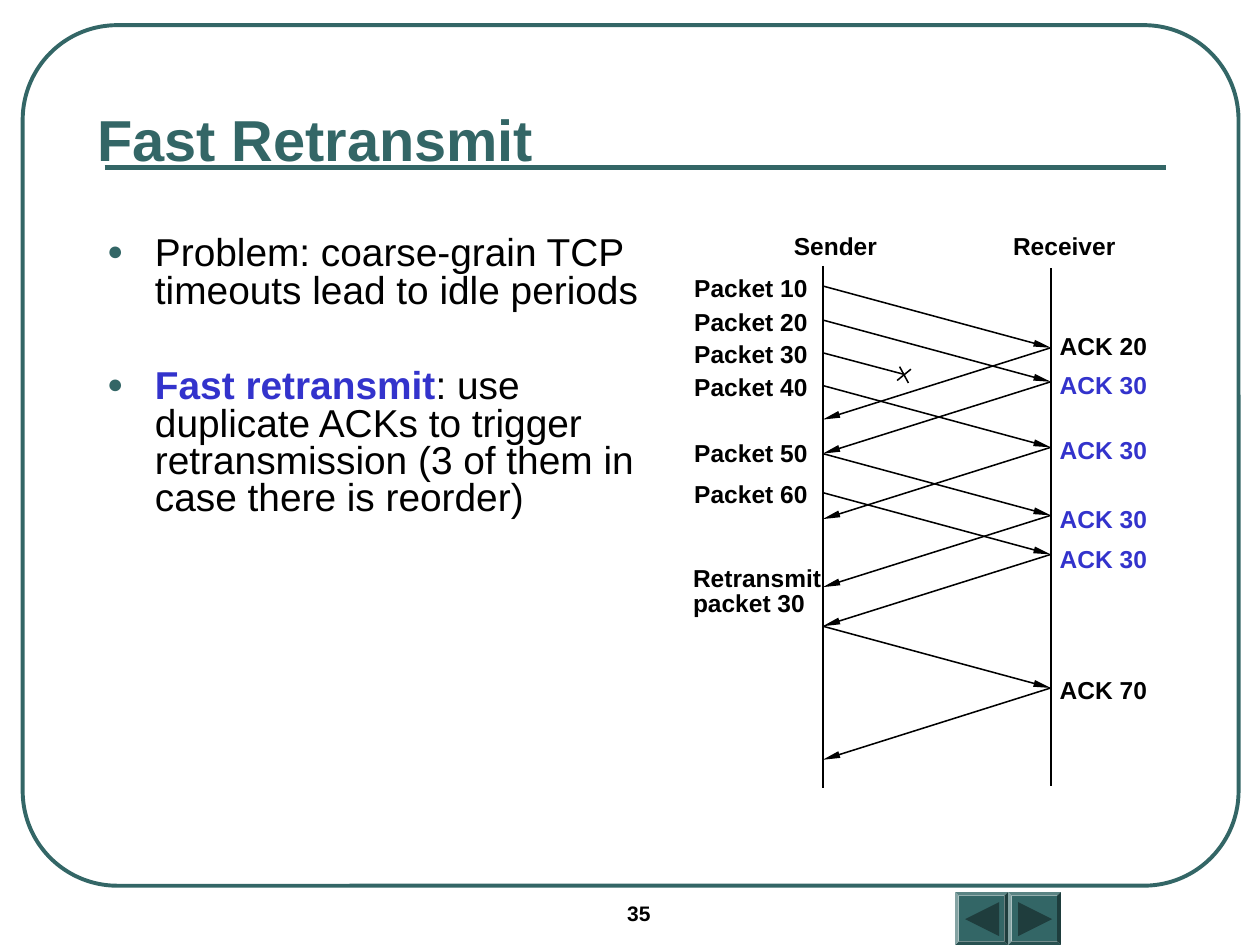
from lxml.etree import SubElement
from pptx import Presentation
from pptx.dml.color import RGBColor
from pptx.enum.shapes import MSO_CONNECTOR, MSO_SHAPE
from pptx.enum.text import MSO_ANCHOR, MSO_AUTO_SIZE, PP_ALIGN
from pptx.oxml.ns import qn
from pptx.util import Inches, Pt

TEAL = RGBColor(0x33, 0x66, 0x66)
DARK_TEAL = RGBColor(0x1F, 0x3D, 0x3D)
BLUE = RGBColor(0x33, 0x33, 0xCC)
BLACK = RGBColor(0x00, 0x00, 0x00)

presentation = Presentation()
presentation.slide_width = Inches(10)
presentation.slide_height = Inches(7.5)
slide = presentation.slides.add_slide(presentation.slide_layouts[1])
shapes = slide.shapes


def add_text(text, left=0, top=0, width=1, paragraph=None, height=0.23, size=14,
             color=BLACK, bold=True, margins=(0, 0)):
    if paragraph is None:
        frame = shapes.add_textbox(Inches(left), Inches(top), Inches(width), Inches(height)).text_frame
        frame.word_wrap = True
        frame.margin_left = frame.margin_right = Inches(margins[0])
        frame.margin_top = frame.margin_bottom = Inches(margins[1])
        paragraph = frame.paragraphs[0]
        paragraph.alignment = PP_ALIGN.LEFT
    run = paragraph.add_run()
    run.text = text
    run.font.name = "Arial"
    run.font.size = Pt(size)
    run.font.bold = bold
    run.font.color.rgb = color


def add_line(start, end, width=0.88, color=BLACK, arrow=False):
    points = [Inches(value) for value in (*start, *end)]
    connector = shapes.add_connector(MSO_CONNECTOR.STRAIGHT, *points)
    connector.line.width = Pt(width)
    connector.line.color.rgb = color
    if arrow:
        SubElement(connector.line._get_or_add_ln(), qn("a:tailEnd"), type="triangle", w="sm", len="lg")
    SubElement(connector._element.spPr, qn("a:effectLst"))


frame_shape = shapes.add_shape(
    MSO_SHAPE.ROUNDED_RECTANGLE, Inches(0.18), Inches(0.2), Inches(9.65), Inches(6.83))
frame_shape.adjustments[0] = 0.11
frame_shape.shadow.inherit = False
frame_shape.fill.background()
frame_shape.line.color.rgb = TEAL
frame_shape.line.width = Pt(2.25)
add_line((0.83, 1.33), (9.25, 1.33), width=3, color=TEAL)

for button_left, rotation in ((7.58, -90), (8, 90)):
    button = shapes.add_shape(
        MSO_SHAPE.BEVEL, Inches(button_left), Inches(7.08), Inches(0.42), Inches(0.42))
    button.adjustments[0] = 0.07
    triangle = shapes.add_shape(
        MSO_SHAPE.ISOSCELES_TRIANGLE, Inches(button_left + 0.08), Inches(7.16), Inches(0.27), Inches(0.27))
    triangle.rotation = rotation
    for shape, color in ((button, TEAL), (triangle, DARK_TEAL)):
        shape.shadow.inherit = False
        shape.fill.solid()
        shape.fill.fore_color.rgb = color
        shape.line.fill.background()

add_text("35", 4.88, 7.1, 1.17, height=0.33, size=12, margins=(0.1, 0.05))

title = shapes.title
title.left, title.top, title.width, title.height = map(Inches, (0.67, 0.17, 8.5, 1.25))
title.text_frame.vertical_anchor = MSO_ANCHOR.BOTTOM
title.text_frame.auto_size = MSO_AUTO_SIZE.NONE
title_paragraph = title.text_frame.paragraphs[0]
title_paragraph.alignment = PP_ALIGN.LEFT
add_text("Fast Retransmit", paragraph=title_paragraph, size=33, color=TEAL)

body = slide.placeholders[1]
body.left, body.top, body.width, body.height = map(Inches, (0.75, 1.83, 4.67, 2.42))
body.text_frame.auto_size = MSO_AUTO_SIZE.NONE
bullets = [
    (6, [("Problem: coarse-grain TCP timeouts lead to idle periods", BLACK, False)]),
    (33.5, [
        ("Fast retransmit", BLUE, True),
        (": use duplicate ACKs to trigger retransmission (3 of them in case there is reorder)", BLACK, False),
    ]),
]
for index, (space_before, runs) in enumerate(bullets):
    paragraph = body.text_frame.add_paragraph() if index else body.text_frame.paragraphs[0]
    paragraph.line_spacing = 0.8
    paragraph.space_before = Pt(space_before)
    properties = paragraph._p.get_or_add_pPr()
    properties.set("marL", str(Inches(0.38)))
    properties.set("indent", str(-Inches(0.38)))
    SubElement(SubElement(properties, qn("a:buClr")), qn("a:srgbClr"), val=str(TEAL))
    SubElement(properties, qn("a:buSzPct"), val="70000")
    SubElement(properties, qn("a:buFont"), typeface="Arial")
    SubElement(properties, qn("a:buChar"), char="●")
    for text, color, bold in runs:
        add_text(text, paragraph=paragraph, size=22.2, color=color, bold=bold)

SENDER_X, RECEIVER_X = 6.53, 8.34
add_text("Sender", 6.3, 1.83, 0.72)
add_text("Receiver", 8.04, 1.83, 0.87)
add_line((SENDER_X, 2.11), (SENDER_X, 6.25))
add_line((RECEIVER_X, 2.13), (RECEIVER_X, 6.24))

for number, top in zip(range(10, 70, 10), (2.17, 2.44, 2.69, 2.95, 3.48, 3.8)):
    add_text(f"Packet {number}", 5.51, top, 0.95)
add_text("Retransmit", 5.5, 4.47, 1.08)
add_text("packet 30", 5.5, 4.67, 0.95)

for number, top in ((20, 2.63), (30, 2.94), (30, 3.45), (30, 4), (30, 4.32), (70, 5.36)):
    add_text(f"ACK {number}", 8.41, top, 0.75, color=BLUE if number == 30 else BLACK)

for sent in (2.27, 2.54, 3.06, 3.6, 3.91, 4.97):
    received = sent + 0.49
    acknowledged = received + 0.57
    add_line((SENDER_X, sent), (RECEIVER_X, received), arrow=True)
    add_line((RECEIVER_X, received), (SENDER_X, acknowledged), arrow=True)

add_line((SENDER_X, 2.8), (7.17, 2.97))
add_line((7.14, 2.91), (7.21, 3.04))
add_line((7.23, 2.93), (7.12, 3.02))

presentation.save("out.pptx")
